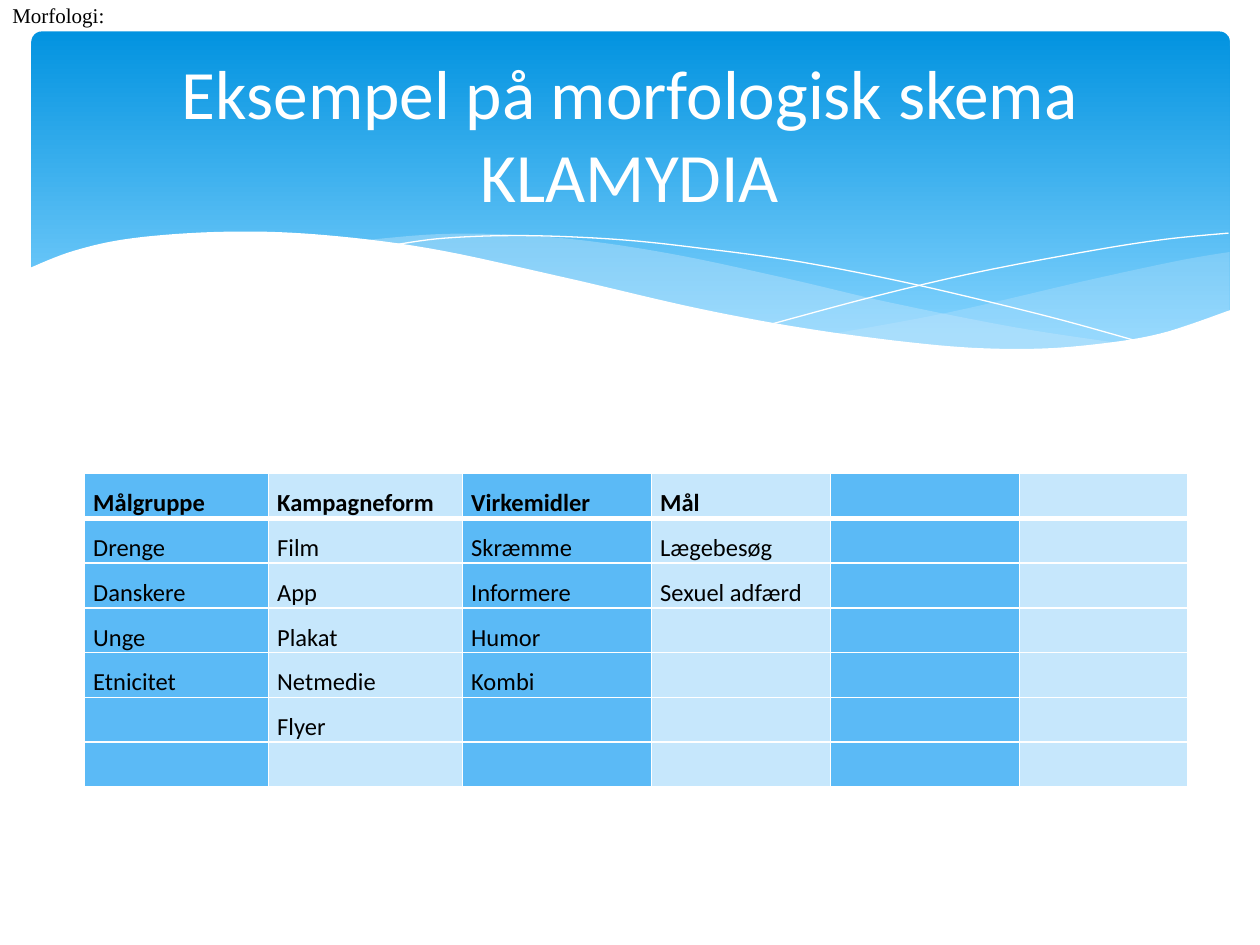
"""Builds the slide with a morphological chart under a wave banner."""
from dataclasses import dataclass

from lxml import etree
from pptx import Presentation
from pptx import util as u
from pptx.dml import color
from pptx.enum import shapes, text
from pptx.oxml import ns


@dataclass(frozen=True)
class Theme:
    """Colours, fonts and type sizes."""
    white: str = "FFFFFF"
    black: str = "000000"
    banner_top: str = "0293E0"
    banner_bottom: str = "83D3FE"
    strong: str = "5BBAF6"
    pale: str = "C6E7FC"
    sans: str = "Calibri"
    serif: str = "Times New Roman"
    title: float = 39.6
    cell: float = 14
    label: float = 12


T = Theme()
COLUMNS = [
    (1.46, ["Målgruppe", "Drenge", "Danskere", "Unge", "Etnicitet"]),
    (1.54, ["Kampagneform", "Film", "App", "Plakat", "Netmedie", "Flyer"]),
    (1.5, ["Virkemidler", "Skræmme", "Informere", "Humor", "Kombi"]),
    (1.42, ["Mål", "Lægebesøg", "Sexuel adfærd"]),
    (1.5, []),
    (1.34, []),
]
ROWS = 7

RIGHT_TOP = [(9.76, 2), (9.35, 2.07), (8.61, 2.23), (7.53, 2.48), (6.61, 2.65)]
RIGHT_BOTTOM = [(6.61, 2.65), (7.19, 2.72), (7.69, 2.77), (8.14, 2.78),
                (8.63, 2.75), (9.13, 2.67), (9.76, 2.47)]
MIDDLE_TOP = [(8.93, 2.73), (8.07, 2.6), (7.06, 2.4), (6.29, 2.22), (5.41, 2.03),
              (4.65, 1.91), (3.99, 1.86), (3.44, 1.86), (2.86, 1.91)]
MIDDLE_BOTTOM = [(2.86, 1.91), (3.62, 2.03), (4.49, 2.22), (5.3, 2.4), (6.18, 2.58),
                 (6.95, 2.7), (7.61, 2.77), (8.28, 2.78), (8.93, 2.73)]
FALLING_LINE = [(3.09, 1.95), (3.53, 1.89), (4.16, 1.87), (4.89, 1.9), (5.56, 1.97),
                (6.36, 2.08), (7.27, 2.26), (8.31, 2.51), (9.07, 2.72)]
RISING_LINE = [(6.13, 2.57), (6.95, 2.35), (7.76, 2.16), (8.66, 1.99),
               (9.24, 1.9), (9.75, 1.85)]
FRONT_WAVE = [(0.23, 2.13), (0.59, 1.99), (1.06, 1.89), (1.77, 1.84), (2.5, 1.86),
              (3.4, 1.97), (4.47, 2.2), (5.55, 2.45), (6.48, 2.62), (7.44, 2.74),
              (8.09, 2.77), (8.63, 2.74), (9.2, 2.65), (9.77, 2.46)]


def rgb(value):
    """Return an RGB colour from its hex value."""
    return color.RGBColor.from_string(value)


def apply(obj, **values):
    """Set each given attribute on an object."""
    for name, value in values.items():
        setattr(obj, name, value)


def style(p, ink, **values):
    """Format the font of every run in a paragraph."""
    for r in p.runs:
        apply(r.font, **values)
        r.font.color.rgb = rgb(ink)


def smooth(points, steps=8):
    """Return points along a Catmull-Rom curve through the given points."""
    padded = [points[0], *points, points[-1]]
    curve = [points[0]]
    for a, b, c, d in zip(padded, padded[1:], padded[2:], padded[3:]):
        for t in (i / steps for i in range(1, steps + 1)):
            curve.append(tuple(
                0.5 * (2 * q + (r - p) * t + (2 * p - 5 * q + 4 * r - s) * t ** 2
                       + (3 * q - p - 3 * r + s) * t ** 3)
                for p, q, r, s in zip(a, b, c, d)))
    return curve


def freeform(s, points, close):
    """Draw a plain outline through points given in inches."""
    start, *rest = [(u.Inches(x), u.Inches(y)) for x, y in points]
    builder = s.shapes.build_freeform(*start)
    builder.add_line_segments(rest, close=close)
    sp = builder.convert_to_shape()
    sp.shadow.inherit = False
    return sp


def add_wave(s, points, fill, opacity=100):
    """Add a filled wave."""
    sp = freeform(s, points, True)
    sp.fill.solid()
    sp.fill.fore_color.rgb = rgb(fill)
    sp.line.fill.background()
    if opacity < 100:
        clr = sp.element.spPr.find(".//" + ns.qn("a:srgbClr"))
        etree.SubElement(clr, ns.qn("a:alpha"), val=str(opacity * 1000))


def add_curve(s, points):
    """Add a white hairline curve."""
    sp = freeform(s, smooth(points), False)
    sp.fill.background()
    sp.line.color.rgb = rgb(T.white)
    sp.line.width = 0


def add_banner(s):
    """Add the gradient panel and its waves."""
    sp = s.shapes.add_shape(shapes.MSO_SHAPE.ROUNDED_RECTANGLE, u.Inches(0.25),
                            u.Inches(0.25), u.Inches(9.51), u.Inches(2.7))
    sp.adjustments[0] = 0.03
    sp.shadow.inherit = False
    sp.line.fill.background()
    sp.fill.gradient()
    sp.fill.gradient_angle = 270
    stops = [(0, T.banner_top), (0.9, T.banner_bottom)]
    for stop, (position, value) in zip(sp.fill.gradient_stops, stops):
        stop.position = position
        stop.color.rgb = rgb(value)
    add_wave(s, smooth(RIGHT_TOP) + smooth(RIGHT_BOTTOM), T.pale, 29)
    add_wave(s, smooth(MIDDLE_TOP) + smooth(MIDDLE_BOTTOM), T.pale, 40)
    add_curve(s, FALLING_LINE)
    add_curve(s, RISING_LINE)
    add_wave(s, smooth(FRONT_WAVE) + [(9.77, 3.29), (0.23, 3.29)], T.white)


def set_borders(cell, top, bottom):
    """Give a cell white borders, with top and bottom widths in points."""
    tc_pr = cell._tc.get_or_add_tcPr()
    for side, width in (("L", 1), ("R", 1), ("T", top), ("B", bottom)):
        ln = etree.SubElement(tc_pr, ns.qn("a:ln" + side), w=str(u.Pt(width)))
        fill = etree.SubElement(ln, ns.qn("a:solidFill"))
        etree.SubElement(fill, ns.qn("a:srgbClr"), val=T.white)


def add_chart_table(s):
    """Add the table with columns in alternating blues."""
    width = sum(w for w, _ in COLUMNS)
    table = s.shapes.add_table(ROWS, len(COLUMNS), u.Inches(0.67), u.Inches(3.76),
                               u.Inches(width), u.Inches(2.45)).table
    apply(table, first_row=False, horz_banding=False)
    for c, (w, words) in enumerate(COLUMNS):
        table.columns[c].width = u.Inches(w)
        for r in range(ROWS):
            cell = table.cell(r, c)
            apply(cell, margin_left=u.Inches(0.07), margin_right=u.Inches(0.07),
                  margin_top=0, margin_bottom=0)
            set_borders(cell, 3 if r == 1 else 1, 3 if r == 0 else 1)
            cell.fill.solid()
            cell.fill.fore_color.rgb = rgb(T.pale if c % 2 else T.strong)
            if r < len(words):
                p = cell.text_frame.paragraphs[0]
                apply(p, text=words[r], line_spacing=1.5)
                style(p, T.black, name=T.sans, size=u.Pt(T.cell), bold=r == 0)


def set_title(s, words):
    """Fill the title placeholder and bring it in front of the banner."""
    sp = s.shapes.title
    apply(sp, left=u.Inches(0.5), top=u.Inches(0.37),
          width=u.Inches(9), height=u.Inches(1.37))
    sp.element.getparent().append(sp.element)
    tf = sp.text_frame
    apply(tf, auto_size=text.MSO_AUTO_SIZE.NONE, word_wrap=True,
          vertical_anchor=text.MSO_ANCHOR.MIDDLE)
    p = tf.paragraphs[0]
    apply(p, text=words, alignment=text.PP_ALIGN.CENTER)
    style(p, T.white, name=T.sans, size=u.Pt(T.title))


def add_label(s, words):
    """Add the small label in the top left corner."""
    tf = s.shapes.add_textbox(0, 0, u.Inches(10), u.Inches(0.5)).text_frame
    apply(tf, word_wrap=True, margin_top=u.Inches(0.02),
          vertical_anchor=text.MSO_ANCHOR.TOP)
    p = tf.paragraphs[0]
    p.text = words
    style(p, T.black, name=T.serif, size=u.Pt(T.label))


def main():
    """Build and save the slide."""
    prs = Presentation()
    apply(prs, slide_width=u.Inches(10), slide_height=u.Inches(7.5))
    s = prs.slides.add_slide(prs.slide_layouts[5])
    add_banner(s)
    add_chart_table(s)
    set_title(s, "Eksempel på morfologisk skema\vKLAMYDIA")
    add_label(s, "Morfologi:")
    prs.save("out.pptx")


if __name__ == "__main__":
    main()
